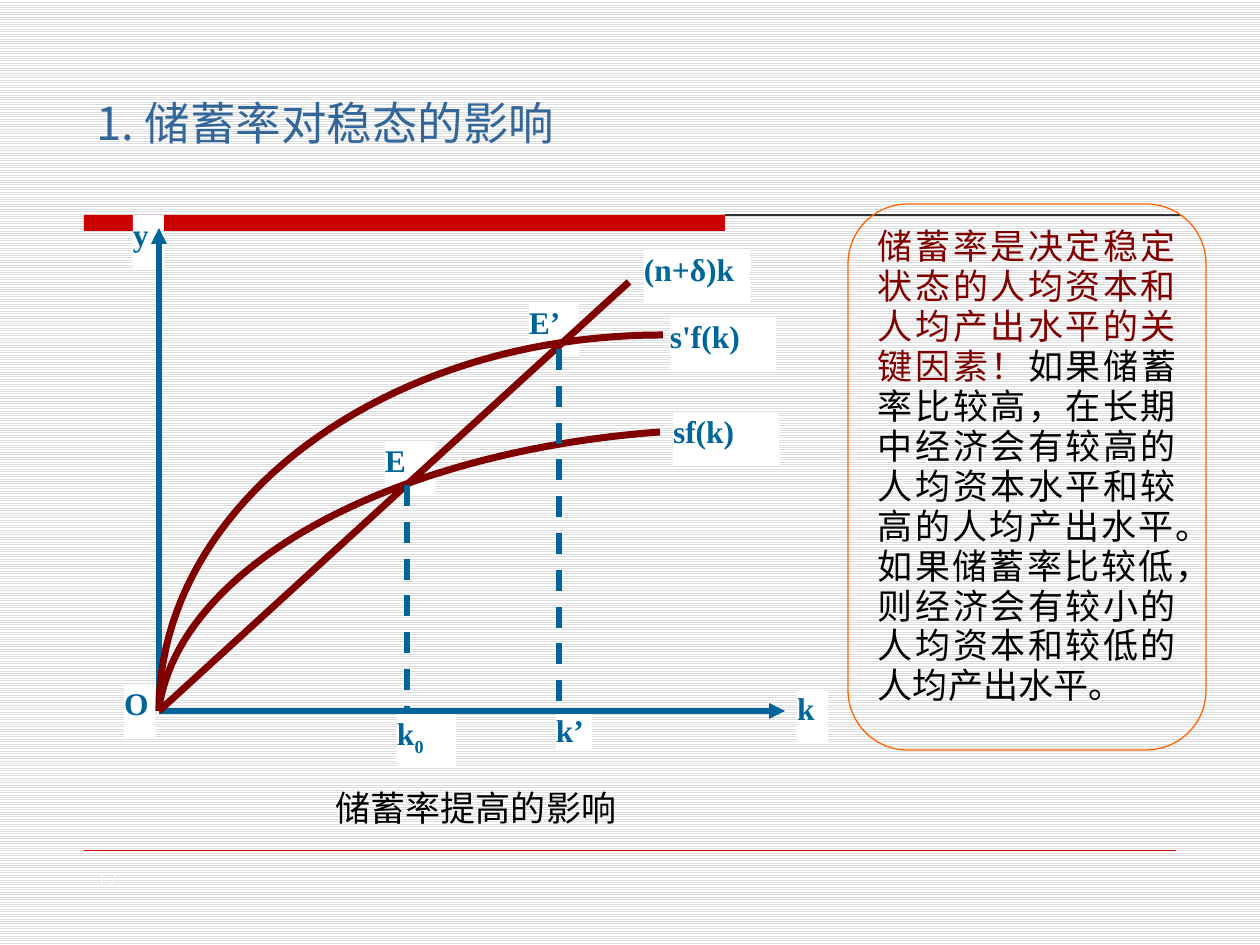
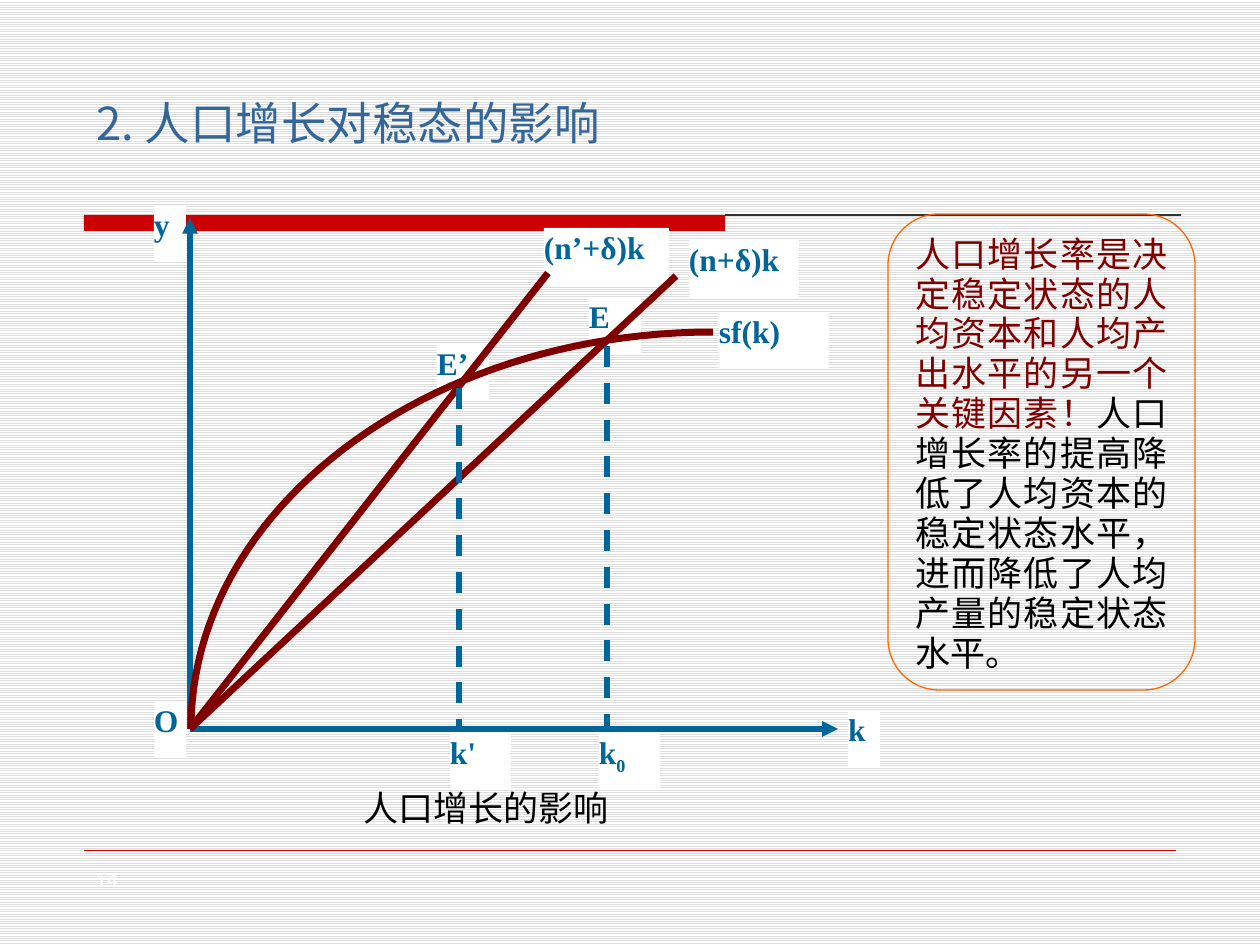
import pptx
import pptx.util
import pptx.dml.color
import pptx.enum.dml
import pptx.enum.shapes
import pptx.enum.text
import pptx.oxml
import pptx.oxml.ns

SCALE = 914400 / 126
BLUE, WINE, RED, ORANGE = "006699", "800000", "CC0000", "FF6600"
TITLE, BLACK, WHITE, GREY = "336699", "000000", "FFFFFF", "DDDDDD"
RULE = "333333"
HAN, SERIF = "Noto Sans CJK SC", "Times New Roman"
SHAPE = pptx.enum.shapes.MSO_SHAPE
ALIGN = pptx.enum.text.PP_ALIGN
ANCHOR = pptx.enum.text.MSO_ANCHOR
NS = 'xmlns:a="http://schemas.openxmlformats.org/drawingml/2006/main"'


def px(*sizes):
    return [round(size * SCALE) for size in sizes]


def color(code):
    return pptx.dml.color.RGBColor.from_string(code)


def node(text):
    return pptx.oxml.parse_xml(text.replace(" NS", " " + NS))


def write(frame, parts, size, font=HAN, bold=False, align=ALIGN.LEFT):
    frame.word_wrap = True
    line = frame.paragraphs[0]
    line.text = parts[0][0]
    for words, _ in parts[1:]:
        line.add_run().text = words
    line.alignment = align
    for run, (_, code) in zip(line.runs, parts):
        run.font.size = pptx.util.Pt(size)
        run.font.bold = bold
        run.font.color.rgb = color(code)
        run.font.name = font
        props = run._r.get_or_add_rPr()
        props.append(node(f'<a:ea NS typeface="{font}"/>'))
    return line


def add_text(slide, box, words, size, code, align=ALIGN.LEFT, anchor=ANCHOR.TOP):
    frame = slide.shapes.add_textbox(*px(*box)).text_frame
    frame.vertical_anchor = anchor
    return write(frame, [(words, code)], size, align=align)


def add_block(slide, kind, box, fill=None, edge=None):
    shape = slide.shapes.add_shape(kind, *px(*box))
    shape.shadow.inherit = False
    if fill:
        shape.fill.solid()
        shape.fill.fore_color.rgb = color(fill)
    else:
        shape.fill.background()
    if edge:
        shape.line.color.rgb = color(edge)
        shape.line.width = pptx.util.Pt(0.75)
    else:
        shape.line.fill.background()
    return shape


def add_line(slide, start, end, code, width, dash=False, arrow=False):
    line = slide.shapes.add_connector(
        pptx.enum.shapes.MSO_CONNECTOR.STRAIGHT, *px(*start, *end))
    line.line.color.rgb = color(code)
    line.line.width = pptx.util.Pt(width)
    if dash:
        line.line.dash_style = pptx.enum.dml.MSO_LINE.DASH
    props = line._element.spPr
    if arrow:
        edge = props.find(pptx.oxml.ns.qn("a:ln"))
        edge.append(node('<a:tailEnd NS type="triangle"/>'))
    props.append(node("<a:effectLst NS/>"))


def add_curve(slide, knots, steps=48):
    points = []
    for step in range(steps + 1):
        t = step / steps
        parts = ((1 - t) ** 3, 3 * t * (1 - t) ** 2, 3 * t * t * (1 - t), t ** 3)
        points.append(px(*(sum(part * knot[axis] for part, knot in zip(parts, knots))
                           for axis in (0, 1))))
    path = slide.shapes.build_freeform(*points[0], scale=1.0)
    path.add_line_segments(points[1:], close=False)
    curve = path.convert_to_shape()
    curve.shadow.inherit = False
    curve.fill.background()
    curve.line.color.rgb = color(WINE)
    curve.line.width = pptx.util.Pt(4)


def add_label(slide, words, box, sub=""):
    frame = add_block(slide, SHAPE.RECTANGLE, box, WHITE).text_frame
    frame.margin_left = frame.margin_right = 0
    frame.margin_top = frame.margin_bottom = 0
    frame.vertical_anchor = ANCHOR.TOP
    parts = [(words, BLUE)] + ([(sub, BLUE)] if sub else [])
    line = write(frame, parts, 18, SERIF, True, ALIGN.JUSTIFY)
    if sub:
        line.runs[1]._r.get_or_add_rPr().set("baseline", "-25000")


def add_panel(slide, box, claim, detail):
    panel = add_block(slide, SHAPE.ROUNDED_RECTANGLE, box, edge=ORANGE)
    panel.adjustments[0] = 0.167
    panel.text_frame.vertical_anchor = ANCHOR.TOP
    line = write(panel.text_frame, [(claim, WINE), (detail, BLACK)], 20,
                 align=ALIGN.JUSTIFY)
    line.line_spacing = 0.95


def add_title(slide, words):
    line = add_text(slide, (84, 96, 714, 59), words, 26, TITLE, anchor=ANCHOR.MIDDLE)
    line.line_spacing = 0.9
    fill = line.runs[0]._r.rPr.find(pptx.oxml.ns.qn("a:solidFill"))
    fill.addnext(node(
        '<a:effectLst NS><a:outerShdw dist="38100" dir="2700000">'
        '<a:srgbClr val="C0C0C0"/></a:outerShdw></a:effectLst>'))


def add_frame(deck, title, number):
    slide = deck.slides.add_slide(deck.slide_layouts[6])
    fill = slide.background.fill
    fill.patterned()
    fill.pattern = pptx.enum.dml.MSO_PATTERN.LIGHT_HORIZONTAL
    fill.fore_color.rgb = color(GREY)
    fill.back_color.rgb = color(WHITE)
    add_block(slide, SHAPE.RECTANGLE, (84, 215, 641, 16), RED)
    add_line(slide, (725, 215), (1181, 215), RULE, 0.75)
    add_line(slide, (84, 850), (1176, 850), RED, 0.25)
    add_text(slide, (84, 858, 200, 44), number, 11, WHITE, anchor=ANCHOR.MIDDLE)
    add_title(slide, title)
    return slide


def add_graph(slide, zero, right, top, labels, curves, rays, drops):
    for label in labels:
        add_label(slide, *label)
    for end in ((right, zero[1]), (zero[0], top)):
        add_line(slide, zero, end, BLUE, 3, arrow=True)
    for knots in curves:
        add_curve(slide, knots)
    for end in rays:
        add_line(slide, zero, end, WINE, 4)
    for left, start in drops:
        add_line(slide, (left, start), (left, zero[1] - 3), BLUE, 3, dash=True)


def main():
    deck = pptx.Presentation()
    deck.slide_width, deck.slide_height = px(1260, 945)

    saving = add_frame(deck, "1. 储蓄率对稳态的影响", "12")
    add_text(saving, (203, 780, 546, 53), "储蓄率提高的影响", 20, BLACK, ALIGN.CENTER)
    add_graph(
        saving, (159, 711), 785, 228,
        [("y", (133, 215, 31, 54)), ("(n+δ)k", (644, 250, 106, 54)),
         ("k’", (556, 711, 36, 39)), ("E’", (529, 303, 50, 54)),
         ("E", (385, 441, 50, 54)), ("k", (397, 714, 59, 54), "0"),
         ("k", (797, 689, 31, 54)), ("O", (124, 684, 31, 54)),
         ("sf(k)", (673, 412, 106, 54)), ("s'f(k)", (670, 317, 106, 54))],
        [((663, 335), (384, 335), (159, 504), (159, 711)),
         ((660, 432), (389, 452), (180, 567), (159, 708))],
        [(629, 282)],
        [(407, 485), (559, 349)])
    add_panel(
        saving, (848, 204, 358, 546),
        "储蓄率是决定稳定状态的人均资本和人均产出水平的关键因素！",
        "如果储蓄率比较高，在长期中经济会有较高的人均资本水平和较高的人均产出水平。"
        "如果储蓄率比较低，则经济会有较小的人均资本和较低的人均产出水平。")

    growth = add_frame(deck, "2. 人口增长对稳态的影响", "14")
    add_text(growth, (253, 780, 466, 49), "人口增长的影响", 20, BLACK, ALIGN.CENTER)
    add_graph(
        growth, (190, 729), 838, 218,
        [("(n’+δ)k", (544, 228, 125, 57)), ("k", (599, 733, 61, 57), "0"),
         ("E’", (437, 344, 52, 57)), ("E", (589, 297, 52, 57)),
         ("k'", (450, 733, 61, 57)), ("k", (848, 710, 32, 57)),
         ("y", (154, 205, 32, 57)), ("O", (154, 701, 32, 57)),
         ("(n+δ)k", (689, 240, 110, 57)), ("sf(k)", (719, 312, 110, 57))],
        [((713, 332), (426, 332), (191, 510), (191, 729))],
        [(676, 276), (548, 273)],
        [(459, 388), (607, 346)])
    add_panel(
        growth, (888, 214, 307, 476),
        "人口增长率是决定稳定状态的人均资本和人均产出水平的另一个关键因素！",
        "人口增长率的提高降低了人均资本的稳定状态水平，进而降低了人均产量的稳定状态水平。")

    deck.save("out.pptx")


if __name__ == "__main__":
    main()
